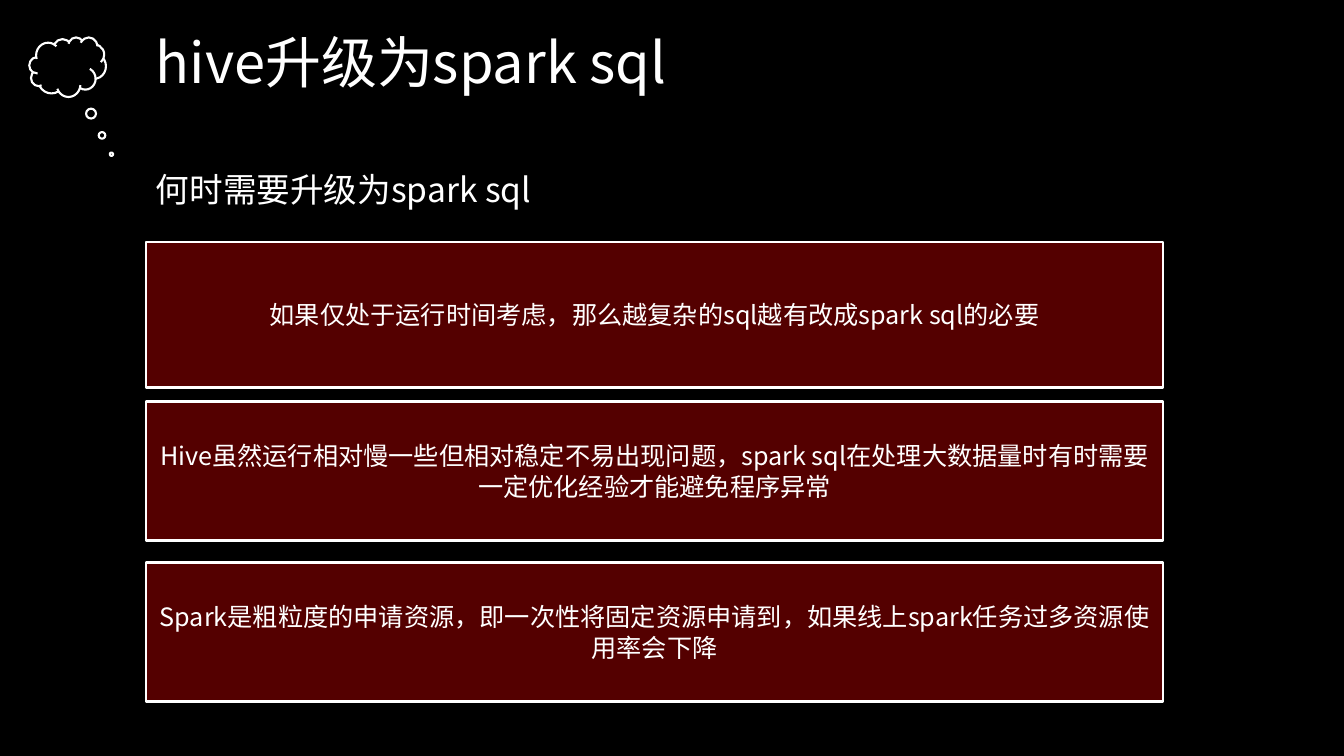
from pptx import Presentation
from pptx.dml.color import RGBColor
from pptx.enum.shapes import MSO_SHAPE as SHAPE
from pptx.enum.text import MSO_ANCHOR as ANCHOR, MSO_AUTO_SIZE as AUTO, PP_ALIGN as ALIGN
from pptx.oxml.ns import qn
from pptx.util import Cm, Pt
from lxml import etree

FONT = "Noto Sans CJK SC"
WHITE = "FFFFFF"


def color(hex_text):
    return RGBColor.from_string(hex_text)


def write(sp, text, size):
    tf = sp.text_frame
    tf.word_wrap = True
    tf.text = text
    r = tf.paragraphs[0].runs[0]
    r.font.size = Pt(size)
    r.font.name = FONT
    r.font.color.rgb = color(WHITE)
    etree.SubElement(r.font._element, qn("a:ea"), typeface=FONT)
    return tf


prs = Presentation()
prs.slide_width, prs.slide_height = Cm(33.87), Cm(19.05)
s = prs.slides.add_slide(prs.slide_layouts[6])
s.background.fill.solid()
s.background.fill.fore_color.rgb = color("000000")

left = Cm(3.68)
headings = [
    ("hive升级为spark sql", 0.56, 13.94, 1.96, 40),
    ("何时需要升级为spark sql", 4.14, 17.09, 1.27, 24),
]
for text, top, width, height, size in headings:
    sp = s.shapes.add_textbox(left, Cm(top), Cm(width), Cm(height))
    write(sp, text, size).auto_size = AUTO.SHAPE_TO_FIT_TEXT

cloud = s.shapes.add_shape(SHAPE.CLOUD_CALLOUT, Cm(0.74), Cm(0.94), Cm(1.93), Cm(1.5))
cloud.adjustments[0] = 0.573
cloud.adjustments[1] = 1.465
cloud.shadow.inherit = False
cloud.fill.background()
cloud.line.color.rgb = color(WHITE)
cloud.line.width = Pt(1.5)

reasons = [
    ("如果仅处于运行时间考虑，那么越复杂的sql越有改成spark sql的必要", 6.1, 3.66),
    ("Hive虽然运行相对慢一些但相对稳定不易出现问题，spark sql在处理大数据量时有时需要一定优化经验才能避免程序异常", 10.11, 3.51),
    ("Spark是粗粒度的申请资源，即一次性将固定资源申请到，如果线上spark任务过多资源使用率会下降", 14.17, 3.51),
]
for text, top, height in reasons:
    sp = s.shapes.add_shape(SHAPE.RECTANGLE, left, Cm(top), Cm(25.63), Cm(height))
    sp.shadow.inherit = False
    sp.fill.solid()
    sp.fill.fore_color.rgb = color("FF0000")
    red = sp._element.spPr.find(qn("a:solidFill")).find(qn("a:srgbClr"))
    etree.SubElement(red, qn("a:alpha"), val="33000")
    sp.line.color.rgb = color(WHITE)
    sp.line.width = Pt(2)
    tf = write(sp, text, 18)
    tf.vertical_anchor = ANCHOR.MIDDLE
    tf.paragraphs[0].alignment = ALIGN.CENTER

prs.save("out.pptx")
